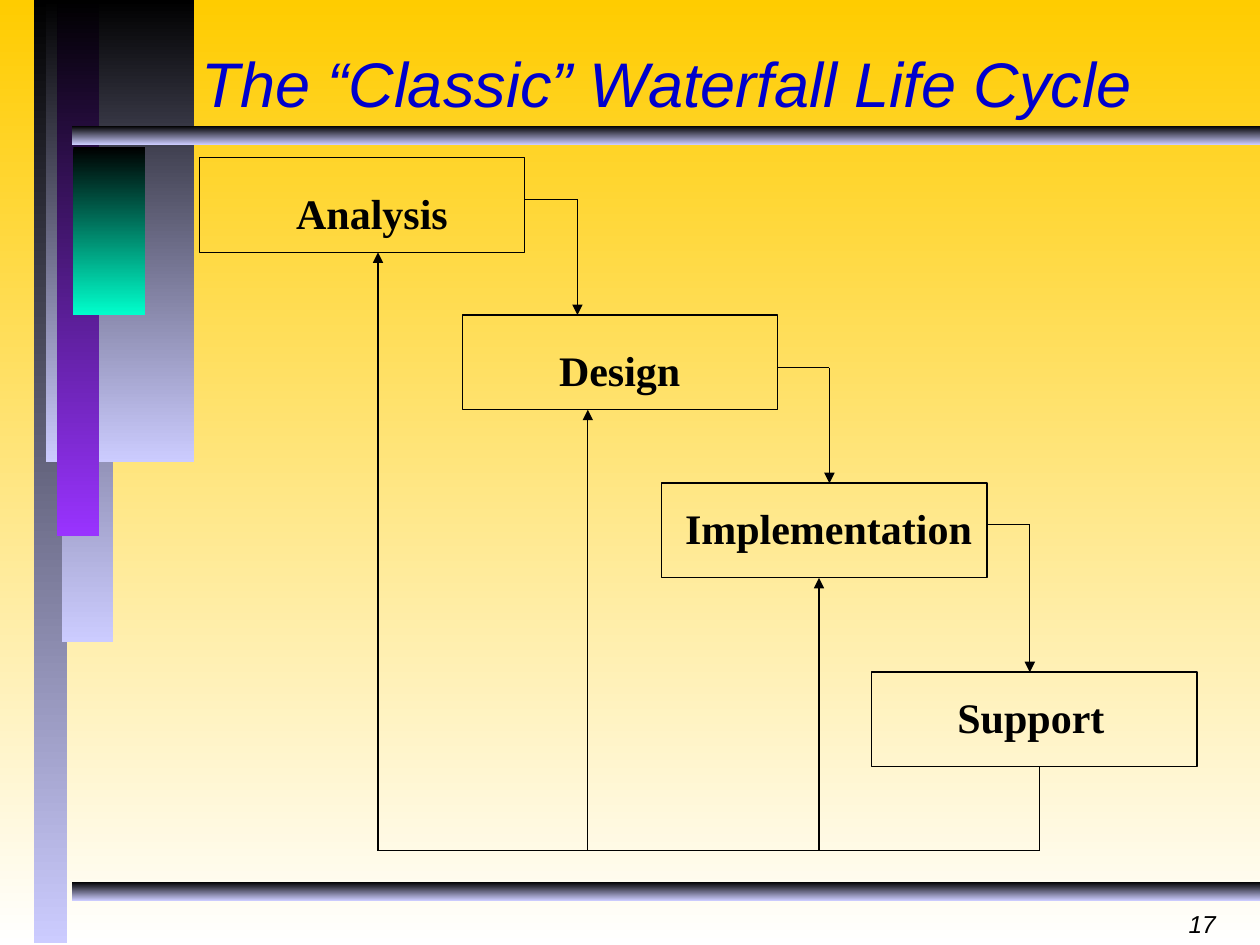
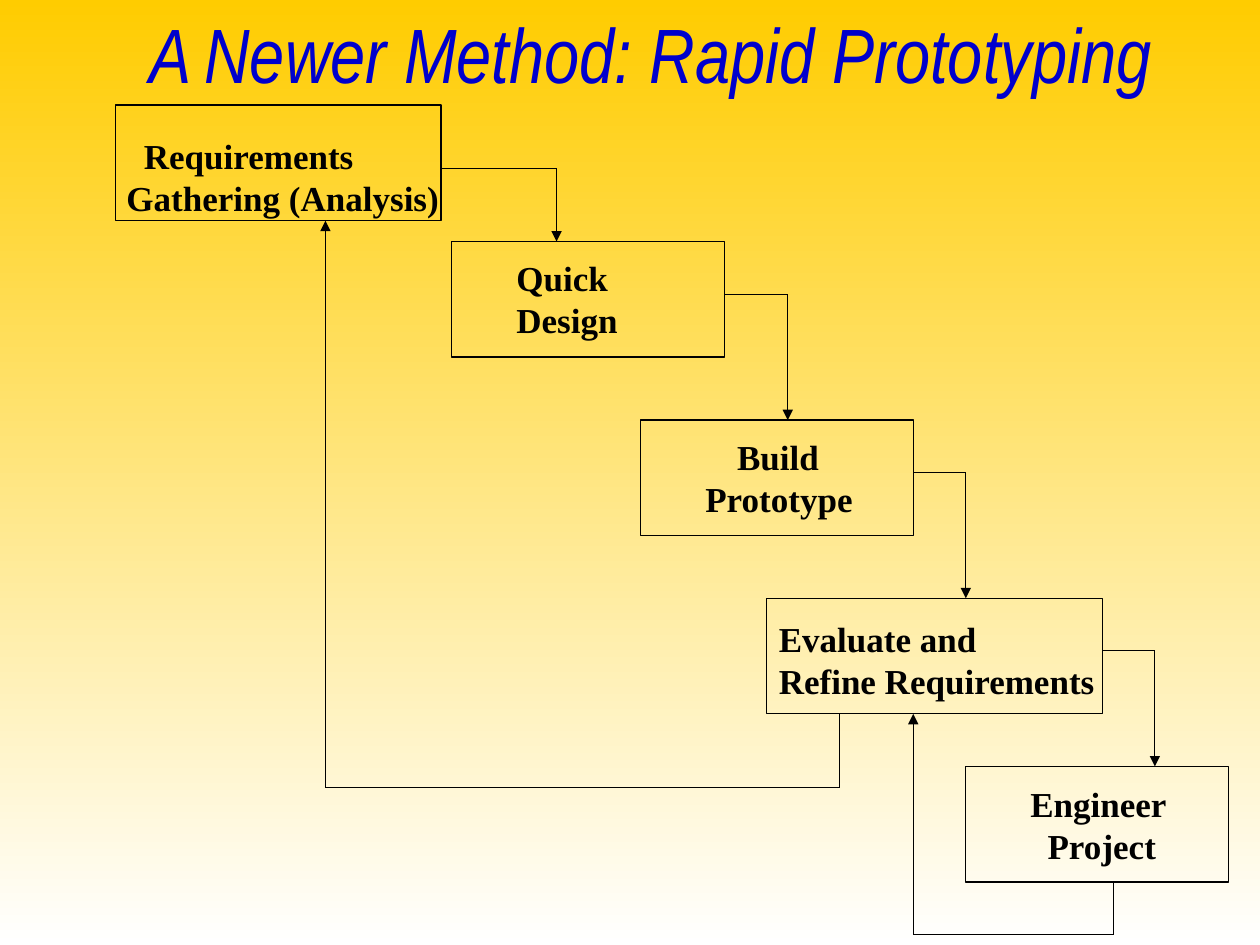
from typing import NamedTuple

from lxml import etree
from pptx import Presentation
from pptx import util as u
from pptx.dml.color import RGBColor
from pptx.enum import shapes, text
from pptx.oxml.ns import qn

BLACK, TITLE_BLUE = "000000", "0000CC"
GOLD, WHITE = "FFCC00", "FFFFFF"
LAVENDER, PURPLE, MINT = "CCCCFF", "9933FF", "00FFCC"
LINE_WIDTH = u.Pt(0.75)
TITLE_ONLY = 5


class Box(NamedTuple):
    """A rectangle in centimetres."""
    x: float
    y: float
    w: float
    h: float

    @property
    def right(self):
        return self.x + self.w

    @property
    def bottom(self):
        return self.y + self.h

    def lengths(self):
        return [u.Cm(v) for v in self]


def rgb(hex_string):
    return RGBColor.from_string(hex_string)


def fade_down(fill, top, bottom):
    fill.gradient()
    fill.gradient_angle = 270
    for stop, color in zip(fill.gradient_stops, (top, bottom)):
        stop.color.rgb = rgb(color)


def add_run(p, words, size, font, color=BLACK, bold=False, italic=False):
    r = p.add_run()
    r.text = words
    r.font.size = u.Pt(size)
    r.font.name = font
    r.font.bold = bold
    r.font.italic = italic
    r.font.color.rgb = rgb(color)


def set_title(s, words, box, size, font):
    sp = s.shapes.title
    sp.left, sp.top, sp.width, sp.height = box.lengths()
    tf = sp.text_frame
    tf.word_wrap = True
    tf.auto_size = text.MSO_AUTO_SIZE.NONE
    tf.vertical_anchor = text.MSO_ANCHOR.BOTTOM
    p = tf.paragraphs[0]
    p.alignment = text.PP_ALIGN.LEFT
    add_run(p, words, size, font, TITLE_BLUE, italic=True)


def add_rectangle(s, box):
    sp = s.shapes.add_shape(shapes.MSO_SHAPE.RECTANGLE, *box.lengths())
    sp.shadow.inherit = False
    return sp


def add_band(s, box, color):
    sp = add_rectangle(s, box)
    fade_down(sp.fill, BLACK, color)
    sp.line.fill.background()


def add_stage_box(s, box):
    sp = add_rectangle(s, box)
    sp.fill.background()
    sp.line.color.rgb = rgb(BLACK)
    sp.line.width = LINE_WIDTH


def add_label(s, x, y, w, lines, size):
    """Write (words, indent) lines in bold, 1.2 times the size apart."""
    pitch = u.Pt(size * 1.2)
    height = pitch * len(lines) + u.Cm(0.25)
    tf = s.shapes.add_textbox(u.Cm(x), u.Cm(y), u.Cm(w), height).text_frame
    tf.word_wrap = True
    for i, (words, indent) in enumerate(lines):
        p = tf.add_paragraph() if i else tf.paragraphs[0]
        p.line_spacing = pitch
        if indent:
            p._p.get_or_add_pPr().set("marL", str(u.Cm(indent)))
        add_run(p, words, size, "Times New Roman", bold=True)


def add_route(s, *points):
    """Join the points with straight legs; the last ends in an arrowhead."""
    legs = list(zip(points, points[1:]))
    for i, (start, end) in enumerate(legs, 1):
        c = s.shapes.add_connector(
            shapes.MSO_CONNECTOR.STRAIGHT, *[u.Cm(v) for v in start + end])
        c.line.color.rgb = rgb(BLACK)
        c.line.width = LINE_WIDTH
        sp_pr = c._element.spPr
        if i == len(legs):
            etree.SubElement(sp_pr.get_or_add_ln(), qn("a:tailEnd"), type="triangle")
        etree.SubElement(sp_pr, qn("a:effectLst"))


def add_stages(s, boxes, labels, turns, size):
    """Draw the staircase; each turn is the (x, y) corner of a step down."""
    for box in boxes:
        add_stage_box(s, box)
    for label in labels:
        add_label(s, *label, size)
    for box, (x, y), below in zip(boxes, turns, boxes[1:]):
        add_route(s, (box.right, y), (x, y), (x, below.y))


def add_sidebar_and_rules(s):
    for box, color in (
        (Box(0.69, 0, 0.66, 19.02), LAVENDER),
        (Box(1.25, 0, 1.04, 12.95), LAVENDER),
        (Box(0.92, 0, 3, 9.32), LAVENDER),
        (Box(1.16, 0, 0.84, 10.8), PURPLE),
        (Box(1.48, 2.97, 1.45, 3.38), MINT),
    ):
        add_band(s, box, color)
    for y in (2.54, 17.78):
        add_band(s, Box(1.45, y, 23.95, 0.38), LAVENDER)


def add_page_number(s, number):
    box = Box(19.48, 18.21, 5.28, 0.84)
    tf = s.shapes.add_textbox(*box.lengths()).text_frame
    tf.word_wrap = True
    tf.vertical_anchor = text.MSO_ANCHOR.MIDDLE
    p = tf.paragraphs[0]
    p.alignment = text.PP_ALIGN.RIGHT
    add_run(p, number, 14, "Arial", italic=True)


def waterfall_slide(prs):
    s = prs.slides.add_slide(prs.slide_layouts[TITLE_ONLY])
    add_sidebar_and_rules(s)
    add_page_number(s, "17")
    set_title(s, "The “Classic” Waterfall Life Cycle",
              Box(3.81, 0, 21.59, 2.55), 36, "Arial")
    h = 1.91
    boxes = [Box(4.02, 3.18, 6.56, h), Box(9.32, 6.35, 6.35, h),
             Box(13.34, 9.74, 6.56, h), Box(17.57, 13.55, 6.56, h)]
    labels = [
        (5.72, 3.65, 4, [("Analysis", 0)]),
        (11.02, 6.82, 4, [("Design", 0)]),
        (13.56, 10, 6.6, [("Implementation", 0)]),
        (19.05, 13.81, 4, [("Support", 0)]),
    ]
    add_stages(s, boxes, labels, [(11.64, 4.02), (16.72, 7.41), (20.76, 10.58)], 24)
    *earlier, support = boxes
    out_x, return_y = 20.96, 17.15
    back_xs = (7.62, 11.85, 16.51)
    add_route(s, (out_x, support.bottom), (out_x, return_y),
              (back_xs[0], return_y), (back_xs[0], earlier[0].bottom))
    for x, box in zip(back_xs[1:], earlier[1:]):
        add_route(s, (x, return_y), (x, box.bottom))


def prototyping_slide(prs):
    s = prs.slides.add_slide(prs.slide_layouts[TITLE_ONLY])
    set_title(s, "A Newer Method: Rapid Prototyping",
              Box(2.75, 0, 21.59, 2.12), 44, "Arial Narrow")
    h = 2.33
    boxes = [Box(2.33, 2.12, 6.56, h), Box(9.1, 4.87, 5.5, h),
             Box(12.91, 8.47, 5.5, h), Box(15.45, 12.06, 6.77, h),
             Box(19.47, 15.45, 5.29, h)]
    labels = [
        (2.12, 2.58, 7.4, [("Requirements", 0.53), ("Gathering (Analysis)", 0.18)]),
        (10.16, 5.04, 4, [("Quick", 0), ("Design", 0)]),
        (13.97, 8.65, 4, [("Build", 0.64), ("Prototype", 0)]),
        (15.45, 12.32, 7.4, [("Evaluate and", 0), ("Refine Requirements", 0)]),
        (20.52, 15.64, 4, [("Engineer", 0), ("Project", 0.35)]),
    ]
    turns = [(11.22, 3.39), (15.88, 5.93), (19.47, 9.52), (23.28, 13.12)]
    add_stages(s, boxes, labels, turns, 20)
    requirements, _, _, evaluate, engineer = boxes
    for source, out_x, return_y, back_x, target in (
        (engineer, 22.44, 18.84, 18.41, evaluate),
        (evaluate, 16.93, 15.88, 6.56, requirements),
    ):
        add_route(s, (out_x, source.bottom), (out_x, return_y),
                  (back_x, return_y), (back_x, target.bottom))


def main():
    prs = Presentation()
    prs.slide_width, prs.slide_height = u.Cm(25.4), u.Cm(19.05)
    fade_down(prs.slide_master.background.fill, GOLD, WHITE)
    waterfall_slide(prs)
    prototyping_slide(prs)
    prs.save("out.pptx")


if __name__ == "__main__":
    main()
